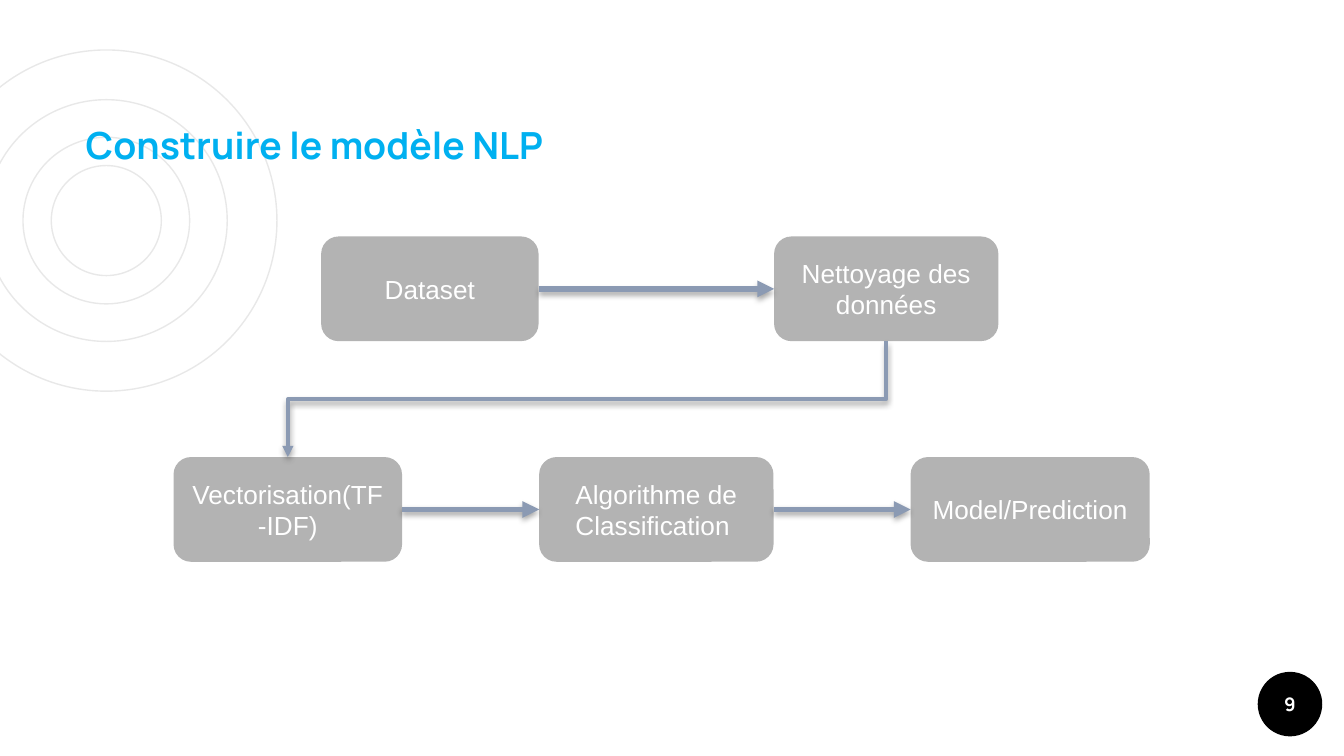
"""Build the slide showing the steps of an NLP model as a flow diagram."""
from dataclasses import dataclass

from lxml import etree
from pptx import Presentation
from pptx.dml.color import RGBColor
from pptx.enum import shapes as kinds, text as txt
from pptx.oxml import ns
from pptx.util import Cm, Pt

COLORS = {"ring": "E8E8E8", "badge": "000000", "title": "00B0F0",
          "step": "B3B3B3", "arrow": "8B9AB3", "light": "FFFFFF"}
RING_CENTER = (2.01, 4.17)
RING_DIAMETERS = (6.45, 3.15, 4.57, 2.08)
STEP_HEIGHT = 1.98


@dataclass
class Step:
    label: str
    width: float


@dataclass
class Row:
    left: float
    top: float
    gap: float
    steps: tuple


ROWS = (
    Row(6.07, 4.47, 4.45, (Step("Dataset", 4.11), Step("Nettoyage des données", 4.24))),
    Row(3.28, 8.64, 2.59, (Step("Vectorisation(TF-IDF)", 4.32),
                           Step("Algorithme de Classification ", 4.43),
                           Step("Model/Prediction", 4.52))),
)


def rgb(name: str) -> RGBColor:
    return RGBColor.from_string(COLORS[name])


def write(shape, words: str, font: str, size: float, color: str,
          bold: bool = False, align=txt.PP_ALIGN.CENTER) -> None:
    paragraph = shape.text_frame.paragraphs[0]
    paragraph.alignment = align
    run = paragraph.add_run()
    run.text = words
    run.font.name, run.font.size, run.font.bold = font, Pt(size), bold
    run.font.color.rgb = rgb(color)


def add_rings(slide) -> None:
    group = slide.shapes.add_group_shape()
    for diameter in RING_DIAMETERS:
        left, top = (Cm(middle - diameter / 2) for middle in RING_CENTER)
        ring = group.shapes.add_shape(kinds.MSO_SHAPE.OVAL, left, top, Cm(diameter), Cm(diameter))
        ring.shadow.inherit = False
        ring.fill.background()
        ring.line.color.rgb = rgb("ring")
        ring.line.width = Pt(0.75)


def add_filled(slide, preset, left: float, top: float, width: float, height: float, color: str):
    shape = slide.shapes.add_shape(preset, Cm(left), Cm(top), Cm(width), Cm(height))
    shape.shadow.inherit = False
    shape.fill.solid()
    shape.fill.fore_color.rgb = rgb(color)
    shape.line.fill.background()
    shape.text_frame.word_wrap = True
    shape.text_frame.vertical_anchor = txt.MSO_ANCHOR.MIDDLE
    return shape


def add_row(slide, row: Row) -> list:
    boxes, left = [], row.left
    for step in row.steps:
        box = add_filled(slide, kinds.MSO_SHAPE.ROUNDED_RECTANGLE, left, row.top,
                         step.width, STEP_HEIGHT, "step")
        write(box, step.label, "Arial", 14, "light")
        boxes.append(box)
        left += step.width + row.gap
    return boxes


def style_arrow(arrow, width: float, opacity: int, distance: float) -> None:
    arrow.line.color.rgb = rgb("arrow")
    arrow.line.width = Pt(width)
    etree.SubElement(arrow.line._get_or_add_ln(), ns.qn("a:tailEnd"), type="triangle")
    effects = etree.SubElement(arrow._element.spPr, ns.qn("a:effectLst"))
    shadow = etree.SubElement(effects, ns.qn("a:outerShdw"), blurRad=str(Pt(3.1)),
                              dist=str(Pt(distance)), dir="5400000", rotWithShape="0")
    black = etree.SubElement(shadow, ns.qn("a:srgbClr"), val="000000")
    etree.SubElement(black, ns.qn("a:alpha"), val=str(opacity * 1000))


def add_straight_arrow(slide, source, target) -> None:
    arrow = slide.shapes.add_connector(kinds.MSO_CONNECTOR.STRAIGHT, 0, 0, 0, 0)
    arrow.begin_connect(source, 3)
    arrow.end_connect(target, 1)
    style_arrow(arrow, 3, 35, 1.8)


def add_return_arrow(slide, source, target) -> None:
    start_x, end_x = (box.left + box.width // 2 for box in (source, target))
    start_y, end_y = source.top + source.height, target.top
    middle_x, middle_y = (start_x + end_x) // 2, (start_y + end_y) // 2
    half_drop, half_run = (end_y - start_y) // 2, (start_x - end_x) // 2
    arrow = slide.shapes.add_connector(
        kinds.MSO_CONNECTOR.ELBOW, middle_x - half_drop, middle_y - half_run,
        middle_x + half_drop, middle_y + half_run)
    arrow._element.spPr.find(ns.qn("a:xfrm")).set("rot", "5400000")
    style_arrow(arrow, 2, 38, 1.6)


def add_title(slide, words: str) -> None:
    title = slide.shapes.title
    title.left, title.top, title.width, title.height = Cm(1.37), Cm(1.5), Cm(18.87), Cm(1.9)
    frame = title.text_frame
    frame.auto_size = txt.MSO_AUTO_SIZE.NONE
    frame.vertical_anchor = txt.MSO_ANCHOR.BOTTOM
    frame.margin_left = frame.margin_right = frame.margin_top = frame.margin_bottom = Cm(0.25)
    write(title, words, "Manrope", 20, "title", True, txt.PP_ALIGN.LEFT)
    slide.shapes._spTree.append(title._element)


def add_page_number(slide, number: str) -> None:
    badge = add_filled(slide, kinds.MSO_SHAPE.OVAL, 23.77, 12.7, 1.22, 1.22, "badge")
    frame = badge.text_frame
    frame.margin_left = frame.margin_right = frame.margin_top = frame.margin_bottom = 0
    write(badge, number, "Manrope", 10, "light", True)


def main() -> None:
    deck = Presentation()
    deck.slide_width, deck.slide_height = Cm(25.4), Cm(14.29)
    slide = deck.slides.add_slide(deck.slide_layouts[5])
    add_rings(slide)
    add_page_number(slide, "9")
    add_title(slide, "Construire le modèle NLP")
    preparation, modelling = [add_row(slide, row) for row in ROWS]
    for boxes in (preparation, modelling):
        for source, target in zip(boxes, boxes[1:]):
            add_straight_arrow(slide, source, target)
    add_return_arrow(slide, preparation[-1], modelling[0])
    deck.save("out.pptx")


if __name__ == "__main__":
    main()
